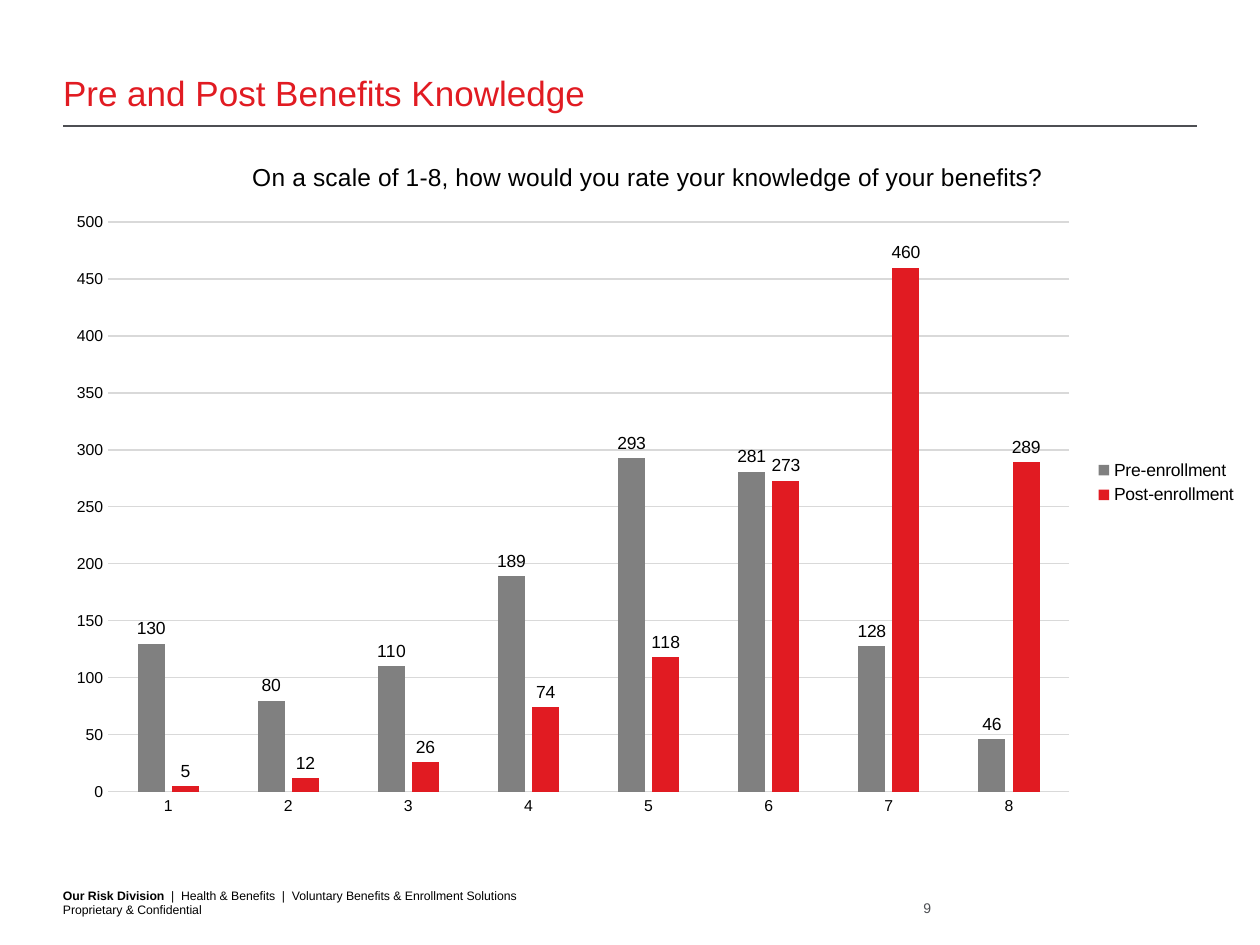
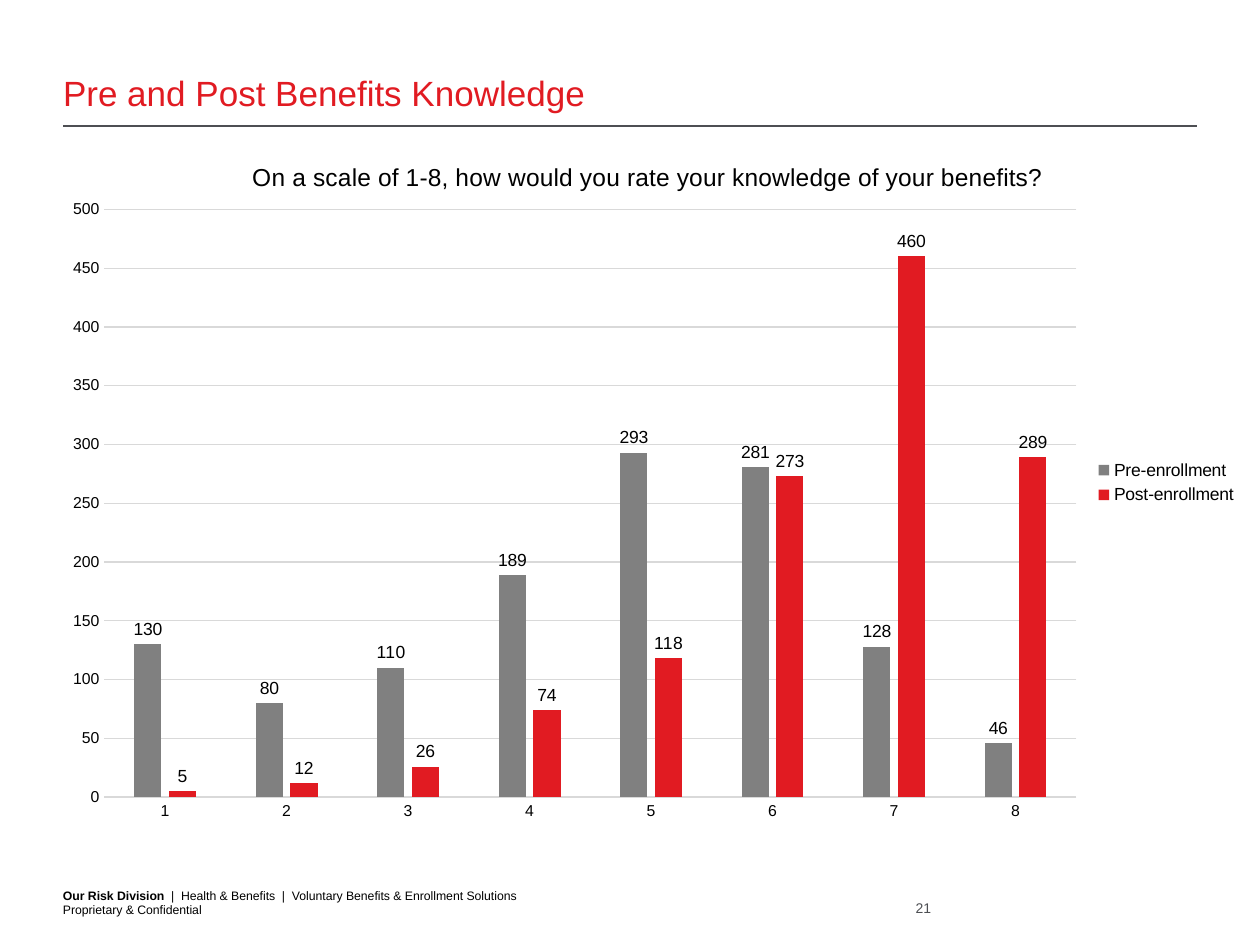
import pptx
import pptx.chart.data
import pptx.enum.chart
import pptx.enum.shapes
import pptx.enum.text
import pptx.oxml
import pptx.oxml.ns
import pptx.util
from pptx.dml.color import RGBColor
from pptx.util import Inches

FONT = "Arial"
COLORS = {
    "red": "E11B22",
    "gray": "808080",
    "slate": "4D4F53",
    "grid": "D9D9D9",
    "black": "000000",
}
MARGIN = 0.5
TITLE = "Pre and Post Benefits Knowledge"
QUESTION = "On a scale of 1-8, how would you rate your knowledge of your benefits? "
RATINGS = [str(rating) for rating in range(1, 9)]
RESPONSES = [
    ("Pre-enrollment", "gray", (130, 80, 110, 189, 293, 281, 128, 46)),
    ("Post-enrollment", "red", (5, 12, 26, 74, 118, 273, 460, 289)),
]
# Page number and inner plot area (x, y, w, h as chart fractions; None is automatic)
PAGES = [(9, None), (21, (0.043, 0.106, 0.812, 0.848))]


def color(name):
    return RGBColor.from_string(COLORS[name])


def style_font(font, size, color_name="black", bold=False):
    font.name = FONT
    font.size = pptx.util.Pt(size)
    font.bold = bold
    font.color.rgb = color(color_name)


def style_line(line, color_name):
    line.color.rgb = color(color_name)
    line.width = pptx.util.Pt(0.75)


def place(shape, left, top, width, height):
    shape.left, shape.top = Inches(left), Inches(top)
    shape.width, shape.height = Inches(width), Inches(height)


def prepare_frame(text_frame):
    """Remove insets, wrap the text and anchor it to the bottom."""
    text_frame.margin_left = text_frame.margin_right = 0
    text_frame.margin_top = text_frame.margin_bottom = 0
    text_frame.word_wrap = True
    text_frame.auto_size = pptx.enum.text.MSO_AUTO_SIZE.NONE
    text_frame.vertical_anchor = pptx.enum.text.MSO_ANCHOR.BOTTOM


def add_text_box(slide, left, top, width, height):
    text_box = slide.shapes.add_textbox(*map(Inches, (left, top, width, height)))
    prepare_frame(text_box.text_frame)
    return text_box.text_frame


def add_run(paragraph, text, size, color_name="black", bold=False):
    run = paragraph.add_run()
    run.text = text
    style_font(run.font, size, color_name, bold)


def add_title(slide):
    title = slide.shapes.title
    place(title, MARGIN, 0.33, 9, 0.57)
    prepare_frame(title.text_frame)
    title.text_frame.text = TITLE
    paragraph = title.text_frame.paragraphs[0]
    paragraph.alignment = pptx.enum.text.PP_ALIGN.LEFT
    style_font(paragraph.runs[0].font, 20, "red")


def add_title_rule(slide):
    rule = slide.shapes.add_connector(
        pptx.enum.shapes.MSO_CONNECTOR.STRAIGHT,
        Inches(MARGIN), Inches(1), Inches(10 - MARGIN), Inches(1))
    style_line(rule.line, "slate")
    properties = rule._element.spPr
    properties.append(pptx.oxml.parse_xml(
        f"<a:effectLst {pptx.oxml.ns.nsdecls('a')}/>"))


def add_footer(slide, page_number):
    footer = add_text_box(slide, MARGIN, 7.04, 6.6, 0.24)
    first_line = footer.paragraphs[0]
    add_run(first_line, "Our Risk Division  ", 7, bold=True)
    add_run(first_line, "|  Health & Benefits  |  "
            "Voluntary Benefits & Enrollment Solutions", 7)
    add_run(footer.add_paragraph(), "Proprietary & Confidential", 7)

    number = add_text_box(slide, 7, 7.14, 0.39, 0.13).paragraphs[0]
    number.alignment = pptx.enum.text.PP_ALIGN.RIGHT
    add_run(number, str(page_number), 8, "slate")


def set_plot_area(chart, fractions):
    """Fix the inner plot area, given as fractions of the chart's size."""
    plot_area = chart._chartSpace.chart.plotArea
    for layout in plot_area.findall(pptx.oxml.ns.qn("c:layout")):
        plot_area.remove(layout)
    modes = '<c:xMode val="edge"/><c:yMode val="edge"/>'
    sizes = "".join(f'<c:{key} val="{value}"/>'
                    for key, value in zip("xywh", fractions))
    plot_area.insert(0, pptx.oxml.parse_xml(
        f"<c:layout {pptx.oxml.ns.nsdecls('c')}><c:manualLayout>"
        f'<c:layoutTarget val="inner"/>{modes}{sizes}'
        "</c:manualLayout></c:layout>"))


def style_axes(chart):
    for axis in (chart.category_axis, chart.value_axis):
        axis.major_tick_mark = pptx.enum.chart.XL_TICK_MARK.NONE
        axis.minor_tick_mark = pptx.enum.chart.XL_TICK_MARK.NONE
        style_font(axis.tick_labels.font, 9)
    style_line(chart.category_axis.format.line, "grid")
    chart.value_axis.format.line.fill.background()
    chart.value_axis.has_major_gridlines = True
    style_line(chart.value_axis.major_gridlines.format.line, "grid")


def style_columns(plot):
    plot.gap_width = 219
    plot.overlap = -27
    plot.vary_by_categories = False
    for series, (_, color_name, _) in zip(plot.series, RESPONSES):
        series.format.fill.solid()
        series.format.fill.fore_color.rgb = color(color_name)
        labels = series.data_labels
        labels.show_value = True
        labels.position = pptx.enum.chart.XL_LABEL_POSITION.OUTSIDE_END
        style_font(labels.font, 10)


def add_knowledge_chart(slide, plot_fractions):
    data = pptx.chart.data.CategoryChartData()
    data.categories = RATINGS
    for name, _, values in RESPONSES:
        data.add_series(name, values)
    chart = slide.shapes.add_chart(
        pptx.enum.chart.XL_CHART_TYPE.COLUMN_CLUSTERED,
        *map(Inches, (0.42, 1.08, 9.5, 5.5)), data).chart
    style_font(chart.font, 10)
    chart.has_title = True
    chart.chart_title.include_in_layout = False
    add_run(chart.chart_title.text_frame.paragraphs[0], QUESTION, 14)
    chart.has_legend = True
    chart.legend.position = pptx.enum.chart.XL_LEGEND_POSITION.RIGHT
    chart.legend.include_in_layout = False
    style_font(chart.legend.font, 10)
    style_axes(chart)
    style_columns(chart.plots[0])
    if plot_fractions:
        set_plot_area(chart, plot_fractions)


def main():
    presentation = pptx.Presentation()
    presentation.slide_width, presentation.slide_height = Inches(10), Inches(7.5)
    title_only = presentation.slide_layouts.get_by_name("Title Only")
    for page_number, plot_fractions in PAGES:
        slide = presentation.slides.add_slide(title_only)
        add_title_rule(slide)
        add_footer(slide, page_number)
        add_title(slide)
        add_knowledge_chart(slide, plot_fractions)
    presentation.save("out.pptx")


if __name__ == "__main__":
    main()
